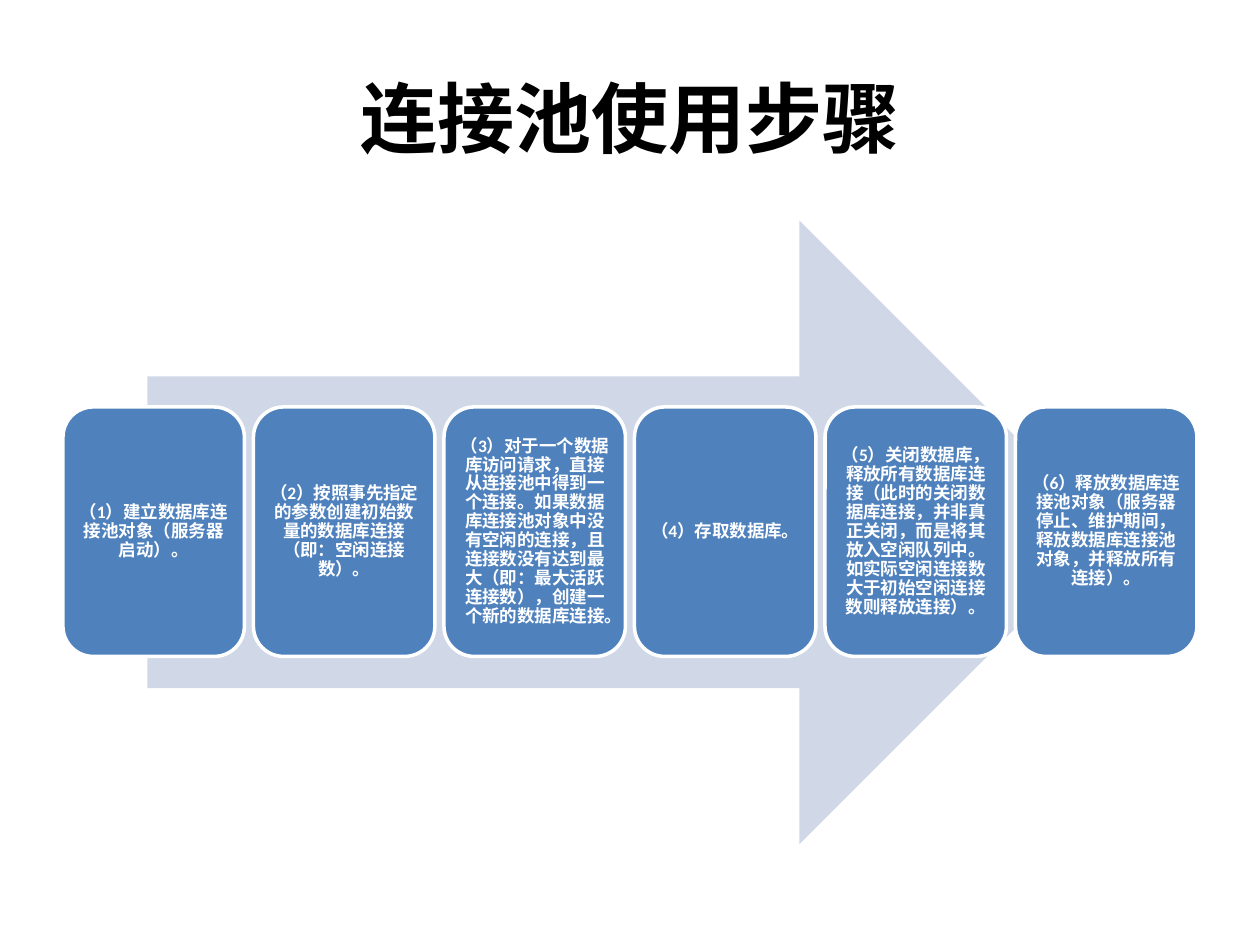
from dataclasses import dataclass
from lxml.etree import SubElement
from pptx import Presentation
from pptx.dml.color import RGBColor
from pptx.enum.shapes import MSO_SHAPE
from pptx.enum.text import MSO_ANCHOR, PP_ALIGN
from pptx.oxml.ns import qn
from pptx.util import Inches, Pt


@dataclass(frozen=True)
class Theme:
    black: RGBColor = RGBColor(0x00, 0x00, 0x00)
    white: RGBColor = RGBColor(0xFF, 0xFF, 0xFF)
    arrow: RGBColor = RGBColor(0xD0, 0xD8, 0xE8)
    card: RGBColor = RGBColor(0x4F, 0x81, 0xBD)
    title_size: Pt = Pt(44)
    card_size: Pt = Pt(10)
    border: Pt = Pt(2)
    latin: str = "Calibri"
    cjk: str = "Noto Sans CJK JP"


theme = Theme()
steps = [
    "（1）建立数据库连接池对象（服务器启动）。",
    "（2）按照事先指定的参数创建初始数量的数据库连接（即：空闲连接数）。",
    "（3）对于一个数据库访问请求，直接从连接池中得到一个连接。如果数据库连接池对象中没有空闲的连接，且连接数没有达到最大（即：最大活跃连接数），创建一个新的数据库连接。",
    "（4）存取数据库。",
    "（5）关闭数据库，释放所有数据库连接（此时的关闭数据库连接，并非真正关闭，而是将其放入空闲队列中。如实际空闲连接数大于初始空闲连接数则释放连接）。",
    "（6）释放数据库连接池对象（服务器停止、维护期间，释放数据库连接池对象，并释放所有连接）。",
]


def write(shape, text, size, color, font):
    tf = shape.text_frame
    tf.word_wrap = True
    tf.vertical_anchor = MSO_ANCHOR.MIDDLE
    p = tf.paragraphs[0]
    p.alignment = PP_ALIGN.CENTER
    r = p.add_run()
    r.text = text
    r.font.size = size
    r.font.bold = True
    r.font.color.rgb = color
    r.font.name = font
    SubElement(r.font._element, qn("a:ea")).set("typeface", theme.cjk)
    return tf


prs = Presentation()
prs.slide_width = Inches(10)
prs.slide_height = Inches(7.5)
s = prs.slides.add_slide(prs.slide_layouts[6])

title = s.shapes.add_textbox(Inches(0.5), Inches(0.3), Inches(9), Inches(1.25))
write(title, "连接池使用步骤", theme.title_size, theme.black, theme.cjk)

arrow = s.shapes.add_shape(
    MSO_SHAPE.RIGHT_ARROW, Inches(1.17), Inches(1.75), Inches(7.65), Inches(4.95)
)
arrow.shadow.inherit = False
arrow.fill.solid()
arrow.fill.fore_color.rgb = theme.arrow
arrow.line.fill.background()

left, right, card_width = 0.5, 9.5, 1.44
pitch = (right - left - card_width) / (len(steps) - 1)
for i, step in enumerate(steps):
    card = s.shapes.add_shape(
        MSO_SHAPE.ROUNDED_RECTANGLE,
        Inches(left + i * pitch), Inches(3.23), Inches(card_width), Inches(1.98),
    )
    card.shadow.inherit = False
    card.fill.solid()
    card.fill.fore_color.rgb = theme.card
    card.line.color.rgb = theme.white
    card.line.width = theme.border
    tf = write(card, step, theme.card_size, theme.white, theme.latin)
    tf.margin_left = tf.margin_right = tf.margin_top = tf.margin_bottom = Inches(0.04)
    tf.paragraphs[0].line_spacing = 0.9

prs.save("out.pptx")
